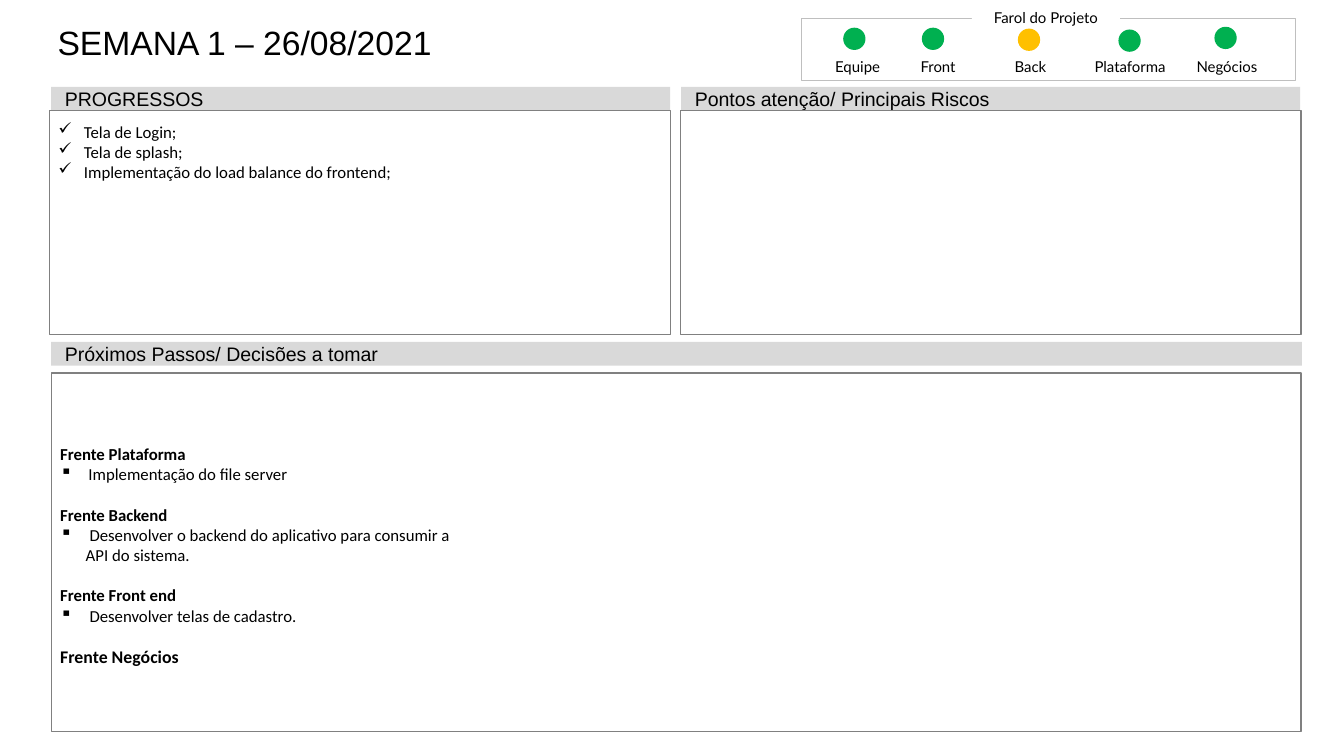
from typing import NamedTuple

from lxml import etree
from pptx import Presentation
from pptx.dml.color import RGBColor
from pptx.enum.shapes import MSO_SHAPE
from pptx.enum.text import MSO_ANCHOR, PP_ALIGN
from pptx.oxml.ns import qn
from pptx.util import Inches, Pt

RECT, OVAL = MSO_SHAPE.RECTANGLE, MSO_SHAPE.OVAL
TOP, MIDDLE, BOTTOM = MSO_ANCHOR.TOP, MSO_ANCHOR.MIDDLE, MSO_ANCHOR.BOTTOM
LEFT, CENTER = PP_ALIGN.LEFT, PP_ALIGN.CENTER

COLORS = {"text": "000000", "bar": "D9D9D9", "panel": "808080", "frame": "BFBFBF",
          "white": "FFFFFF", "green": "00B050", "amber": "FFC000"}


class Box(NamedTuple):
    x: float
    y: float
    w: float
    h: float


class Line(NamedTuple):
    text: str
    bullet: str = ""
    indent: float = 0
    bold: bool = False
    size: float = 13.2
    before: float = 0


class Header(NamedTuple):
    text: str
    box: Box


class Light(NamedTuple):
    label: str
    label_x: float
    x: float
    y: float
    color: str = "green"


PROGRESS = [Line(text, "✓", 0.28) for text in (
    "Tela de Login;", "Tela de splash;", "Implementação do load balance do frontend;")]

GAP = 16.1  # one text line between work fronts
NEXT_STEPS = [
    Line("Frente Plataforma", bold=True),
    Line("Implementação do file server", "▪", 0.31),
    Line("Frente Backend", bold=True, before=GAP),
    Line(" Desenvolver o backend do aplicativo para consumir a API do sistema.", "▪", 0.28),
    Line("Frente Front end", bold=True, before=GAP),
    Line(" Desenvolver telas de cadastro.", "▪", 0.28),
    Line("Frente Negócios", bold=True, size=14, before=GAP),
]

HEADERS = [
    Header("PROGRESSOS", Box(0.56, 0.95, 6.77, 0.26)),
    Header("Pontos atenção/ Principais Riscos", Box(7.45, 0.95, 6.77, 0.26)),
    Header("Próximos Passos/ Decisões a tomar", Box(0.56, 3.74, 13.68, 0.26)),
]

LIGHTS = [
    Light("Equipe", 8.89, 9.23, 0.31),
    Light("Front", 9.77, 10.09, 0.31),
    Light("Back", 10.78, 11.14, 0.32, "amber"),
    Light("Plataforma", 11.87, 12.24, 0.33),
    Light("Negócios", 12.93, 13.29, 0.3),
]

prs = Presentation()
prs.slide_width, prs.slide_height = Inches(14.7), Inches(8.27)
s = prs.slides.add_slide(prs.slide_layouts[6])


def rgb(name: str) -> RGBColor:
    return RGBColor.from_string(COLORS[name])


def add_shape(kind, box: Box, fill: str = "", line: str = "", width: float = 1):
    sp = s.shapes.add_shape(kind, *map(Inches, box))
    sp.shadow.inherit = False
    if fill:
        sp.fill.solid()
        sp.fill.fore_color.rgb = rgb(fill)
    else:
        sp.fill.background()
    if line:
        sp.line.color.rgb = rgb(line)
        sp.line.width = Pt(width)
    else:
        sp.line.fill.background()
    return sp


def add_textbox(box: Box):
    return s.shapes.add_textbox(*map(Inches, box))


def setup_frame(sp, insets: tuple, anchor=TOP, wrap: bool = True):
    tf = sp.text_frame
    tf.margin_left, tf.margin_top, tf.margin_right, tf.margin_bottom = map(Inches, insets)
    tf.vertical_anchor, tf.word_wrap = anchor, wrap
    return tf


def style(p, font: str, size: float, align=LEFT, bold: bool = False) -> None:
    p.alignment = align
    p.font.name, p.font.size, p.font.bold = font, Pt(size), bold
    p.font.color.rgb = rgb("text")


def write_label(sp, text: str) -> None:
    tf = setup_frame(sp, (0.06, 0.06, 0.06, 0), BOTTOM, wrap=False)
    tf.text = text
    style(tf.paragraphs[0], "Lato", 11.8, CENTER)


def set_bullet(p, char: str, indent: float) -> None:
    pPr = p._p.get_or_add_pPr()
    pPr.set("marL", str(Inches(indent)))
    pPr.set("indent", str(-Inches(indent)))
    bu = etree.Element(qn("a:buChar"), char=char)
    pPr.insert_element_before(bu, "a:tabLst", "a:defRPr", "a:extLst")


def add_panel(box: Box, lines: list[Line], anchor=TOP, columns: int = 1) -> None:
    sp = add_shape(RECT, box, line="panel")
    tf = setup_frame(sp, (0.1, 0.12, 0.1, 0.05), anchor)
    if columns > 1:
        tf._txBody.bodyPr.set("numCol", str(columns))
    for i, line in enumerate(lines):
        p = tf.add_paragraph() if i else tf.paragraphs[0]
        p.text = line.text
        style(p, "Calibri", line.size, bold=line.bold)
        p.space_before = Pt(line.before)
        if line.bullet:
            set_bullet(p, line.bullet, line.indent)


# Title
tf = setup_frame(add_textbox(Box(0.51, 0.24, 8, 0.6)), (0.12, 0, 0.12, 0))
tf.text = "SEMANA 1 – 26/08/2021"
style(tf.paragraphs[0], "Arial", 26.5)

# Section headers
for header in HEADERS:
    tf = setup_frame(add_shape(RECT, header.box, "bar"), (0.15, 0.07, 0.15, 0.07), MIDDLE)
    tf.text = header.text
    style(tf.paragraphs[0], "Arial", 15.4)

# Content panels
add_panel(Box(7.44, 1.21, 6.79, 2.45), [])
add_panel(Box(0.54, 1.21, 6.79, 2.45), PROGRESS)
add_panel(Box(0.56, 4.08, 13.67, 3.92), NEXT_STEPS, MIDDLE, columns=3)

# Project status lights
add_shape(RECT, Box(8.77, 0.2, 5.4, 0.68), line="frame", width=0.5)
write_label(add_shape(RECT, Box(10.63, 0.06, 1.62, 0.23), "white"), "Farol do Projeto")
for light in LIGHTS:
    add_shape(OVAL, Box(light.x, light.y, 0.23, 0.23), light.color, light.color)
    write_label(add_textbox(Box(light.label_x, 0.63, 0.98, 0.2)), light.label)

prs.save("out.pptx")
